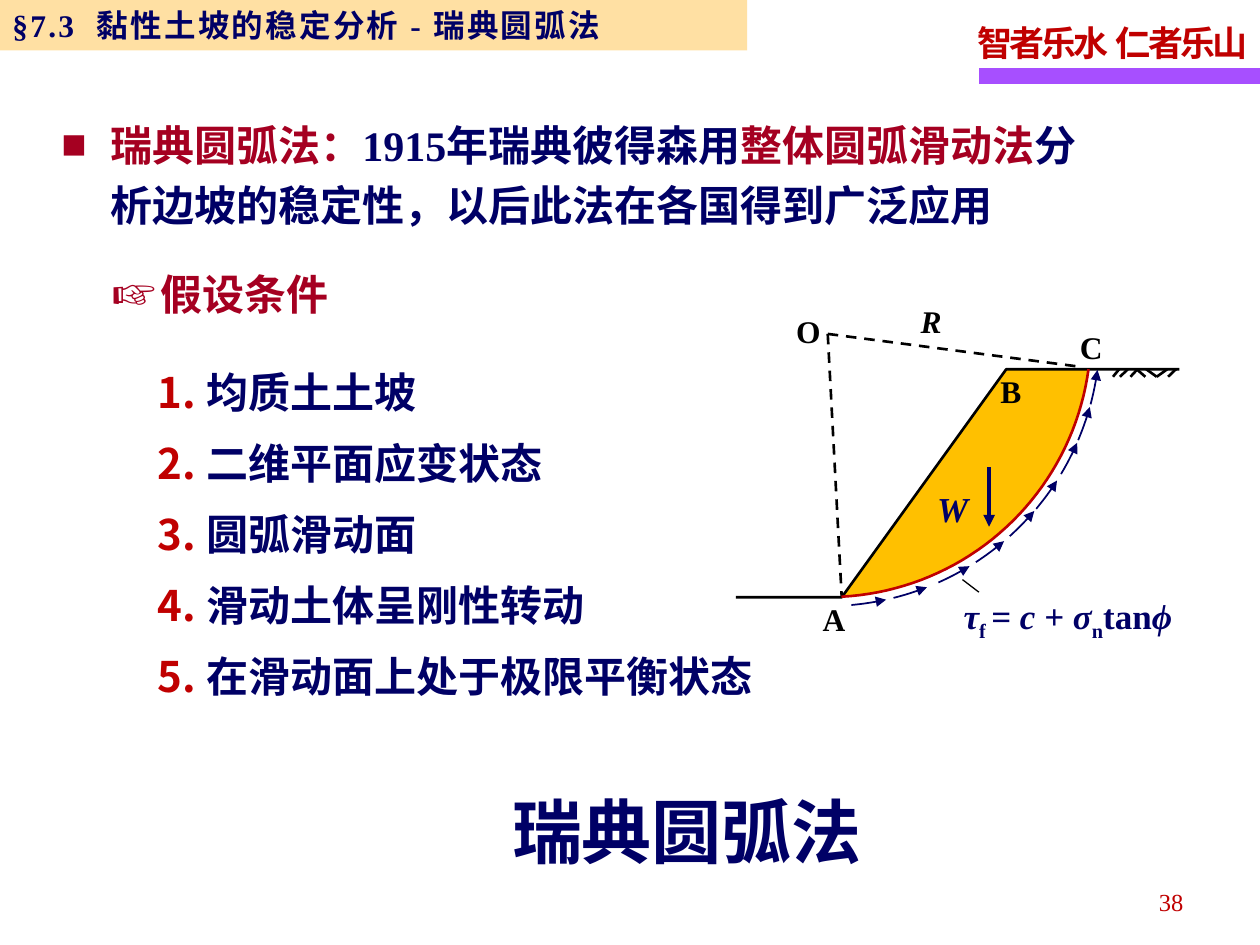
"""Build the slide on the Swedish circular-arc method of slope stability."""
from math import cos, radians, sin

from lxml import etree
from pptx import Presentation
from pptx.dml.color import RGBColor
from pptx.enum import dml, shapes, text
from pptx.oxml.ns import qn
from pptx.util import Pt

NAVY = RGBColor(0x00, 0x00, 0x66)
RED = RGBColor(0xC0, 0x00, 0x00)
CRIMSON = RGBColor(0xA5, 0x00, 0x21)
BLACK = RGBColor(0x00, 0x00, 0x00)
AMBER = RGBColor(0xFF, 0xC0, 0x00)
SAND = RGBColor(0xFF, 0xCC, 0x66)
PURPLE = RGBColor(0xA7, 0x4F, 0xFF)
SERIF = "Times New Roman"
SANS = "Noto Sans CJK SC"


def write(box, place, lines, size, name=SERIF, bold=True, wrap=True,
          indent=None, bullet=(), **layout):
    """Place a box and fill it with lines of (text, color, run attributes)."""
    for side, length in zip(("left", "top", "width", "height"), place):
        setattr(box, side, Pt(length))
    frame = box.text_frame
    frame.word_wrap = wrap
    frame.auto_size = text.MSO_AUTO_SIZE.NONE
    for number, spans in enumerate(lines):
        para = frame.add_paragraph() if number else frame.paragraphs[0]
        properties = para._p.get_or_add_pPr()
        if indent:
            margin, hanging = indent
            properties.set("marL", str(Pt(margin)))
            properties.set("indent", str(Pt(hanging)))
        for tag, attributes in bullet:
            item = etree.SubElement(properties, qn(tag))
            if tag == "a:buClr":
                etree.SubElement(item, qn("a:srgbClr"), attributes)
            else:
                item.attrib.update(attributes)
        for key, value in layout.items():
            setattr(para, key, value)
        if number == 0:
            para.space_before = Pt(0)
        for words, color, attributes in spans:
            span = para.add_run()
            span.text = words
            for key, value in dict(size=Pt(size), name=name, bold=bold).items():
                setattr(span.font, key, value)
            span.font.color.rgb = color
            run_properties = span._r.get_or_add_rPr()
            etree.SubElement(run_properties, qn("a:ea"), typeface=SANS)
            run_properties.attrib.update(attributes)


def stroke(points, color, width, dash=False, arrow=False):
    """Draw an open line through points, as a connector if it has only two."""
    points = [(Pt(x), Pt(y)) for x, y in points]
    if len(points) == 2:
        line = page.shapes.add_connector(
            shapes.MSO_CONNECTOR.STRAIGHT, *points[0], *points[1])
    else:
        builder = page.shapes.build_freeform(*points[0])
        builder.add_line_segments(points[1:], close=False)
        line = builder.convert_to_shape()
        line.fill.background()
    line.line.color.rgb = color
    line.line.width = Pt(width)
    if dash:
        line.line.dash_style = dml.MSO_LINE.DASH
    properties = line.element.spPr
    if arrow:
        etree.SubElement(properties.find(qn("a:ln")), qn("a:tailEnd"), type="triangle")
    etree.SubElement(properties, qn("a:effectLst"))


deck = Presentation()
deck.slide_width, deck.slide_height = Pt(720), Pt(540)
page = deck.slides.add_slide(deck.slide_layouts[1])

write(page.shapes.title, (164, 447, 457, 55.5), [[("瑞典圆弧法", NAVY, {})]],
      40, SANS, alignment=text.PP_ALIGN.CENTER)

assumptions = ("均质土土坡", "二维平面应变状态", "圆弧滑动面",
               "滑动土体呈刚性转动", "在滑动面上处于极限平衡状态")
write(page.placeholders[1], (82.8, 200, 358.6, 206),
      [[(words, NAVY, {})] for words in assumptions], 24, indent=(28, -28),
      bullet=[("a:buClr", {"val": str(RED)}), ("a:buFont", {"typeface": SANS}),
              ("a:buAutoNum", {"type": "arabicPeriod"})],
      alignment=text.PP_ALIGN.LEFT, line_spacing=1.2,
      space_before=Pt(3), space_after=Pt(3))

bands = []
for left, top, width, height, color in ((559.5, 39, 160.5, 9, PURPLE),
                                        (0, 0, 427, 28.8, SAND)):
    band = page.shapes.add_shape(shapes.MSO_SHAPE.RECTANGLE,
                                 Pt(left), Pt(top), Pt(width), Pt(height))
    band.fill.solid()
    band.fill.fore_color.rgb = color
    band.line.fill.background()
    band.shadow.inherit = False
    bands.append(band)
header = bands[1]
tint = header.element.spPr.find(qn("a:solidFill")).find(qn("a:srgbClr"))
etree.SubElement(tint, qn("a:alpha"), val="60000")
write(header, (0, 0, 427, 28.8),
      [[("§7.3  黏性土坡的稳定分析 - 瑞典圆弧法", NAVY, {"spc": "130"})]],
      18, alignment=text.PP_ALIGN.LEFT)

motto = page.shapes.add_textbox(0, 0, 0, 0)
write(motto, (551.5, 5, 170, 35.3), [[("智者乐水  仁者乐山", RED, {"spc": "-170"})]],
      20, wrap=False, line_spacing=1.15)
page_number = page.shapes.add_textbox(0, 0, 0, 0)
write(page_number, (515.5, 501, 167.8, 28.8), [[("38", RED, {})]], 14, bold=False,
      alignment=text.PP_ALIGN.RIGHT, line_spacing=1.15)
introduction = page.shapes.add_textbox(0, 0, 0, 0)
write(introduction, (28, 59, 617.8, 77),
      [[("瑞典圆弧法：", CRIMSON, {}), ("1915年瑞典彼得森用", NAVY, {}),
        ("整体圆弧滑动法", CRIMSON, {}),
        ("分析边坡的稳定性，以后此法在各国得到广泛应用", NAVY, {})]],
      24, indent=(28, -28), line_spacing=1.2,
      bullet=[("a:buClr", {"val": str(CRIMSON)}), ("a:buFont", {"typeface": SERIF}),
              ("a:buChar", {"char": "■"})])
heading = page.shapes.add_textbox(0, 0, 0, 0)
write(heading, (50.4, 149.8, 208, 36), [[("假设条件", CRIMSON, {})]],
      24, SANS, indent=(34.5, -28),
      bullet=[("a:buSzPct", {"val": "130000"}), ("a:buFont", {"typeface": SERIF}),
              ("a:buChar", {"char": "☞"})])

center_x, center_y = 473, 190.8
ground, base = 211, 341.3
toe, crest = (481, base), (575, ground)
arc = [(center_x + 150.4 * cos(radians(angle)), center_y + 150.4 * sin(radians(angle)))
       for angle in (87 - 79.3 * step / 40 for step in range(41))]
builder = page.shapes.build_freeform(*(Pt(value) for value in arc[0]))
builder.add_line_segments([(Pt(x), Pt(y)) for x, y in arc[1:] + [crest]])
soil = builder.convert_to_shape()
soil.fill.solid()
soil.fill.fore_color.rgb = AMBER
soil.line.fill.background()
soil.shadow.inherit = False

for upper, lower in ((639.5, 636), (644.5, 640), (650, 646), (649.5, 654.5),
                     (655, 661), (667, 661), (672, 667.5)):
    stroke([(upper, ground), (lower, 215.3)], BLACK, 1.5)
for end in ((616.5, 209.5), toe):
    stroke([(center_x, center_y), end], BLACK, 1.5, dash=True)
stroke([(420.5, base), toe, crest, (674, ground)], BLACK, 1.5)
stroke(arc, RED, 1.5)
stroke([(565.2, 267), (565.2, 301)], NAVY, 2.25, arrow=True)
stroke([(550, 331.2), (559.4, 338.4)], BLACK, 0.75)

for start in (85, 76, 66, 57, 48, 40, 31, 23, 15):
    angles = [radians(start - 7.4 * step / 6) for step in range(7)]
    stroke([(center_x + 155.5 * cos(angle), center_y + 155.5 * sin(angle))
            for angle in angles], NAVY, 1, arrow=True)

for words, left, top, size, color, attributes in (
        ("O", 447.8, 171.4, 18, BLACK, {}),
        ("R", 519, 165.6, 18, BLACK, {"i": "1"}),
        ("W", 528.5, 271.5, 20, NAVY, {"i": "1"}),
        ("A", 463, 336.2, 18, BLACK, {}),
        ("B", 564.5, 206, 18, BLACK, {}),
        ("C", 610, 180.7, 18, BLACK, {})):
    label = page.shapes.add_textbox(0, 0, 0, 0)
    write(label, (left, top, size + 11, size + 12), [[(words, color, attributes)]],
          size, wrap=False, line_spacing=1.15)

italic, subscript = {"i": "1"}, {"baseline": "-25000"}
formula = page.shapes.add_textbox(0, 0, 0, 0)
write(formula, (543.6, 332, 139, 35.3),
      [[("τ", NAVY, italic), ("f ", NAVY, subscript), ("= c + σ", NAVY, italic),
        ("n", NAVY, subscript), ("tan", NAVY, {}), ("ϕ", NAVY, italic)]],
      20, line_spacing=1.15)

deck.save("out.pptx")
